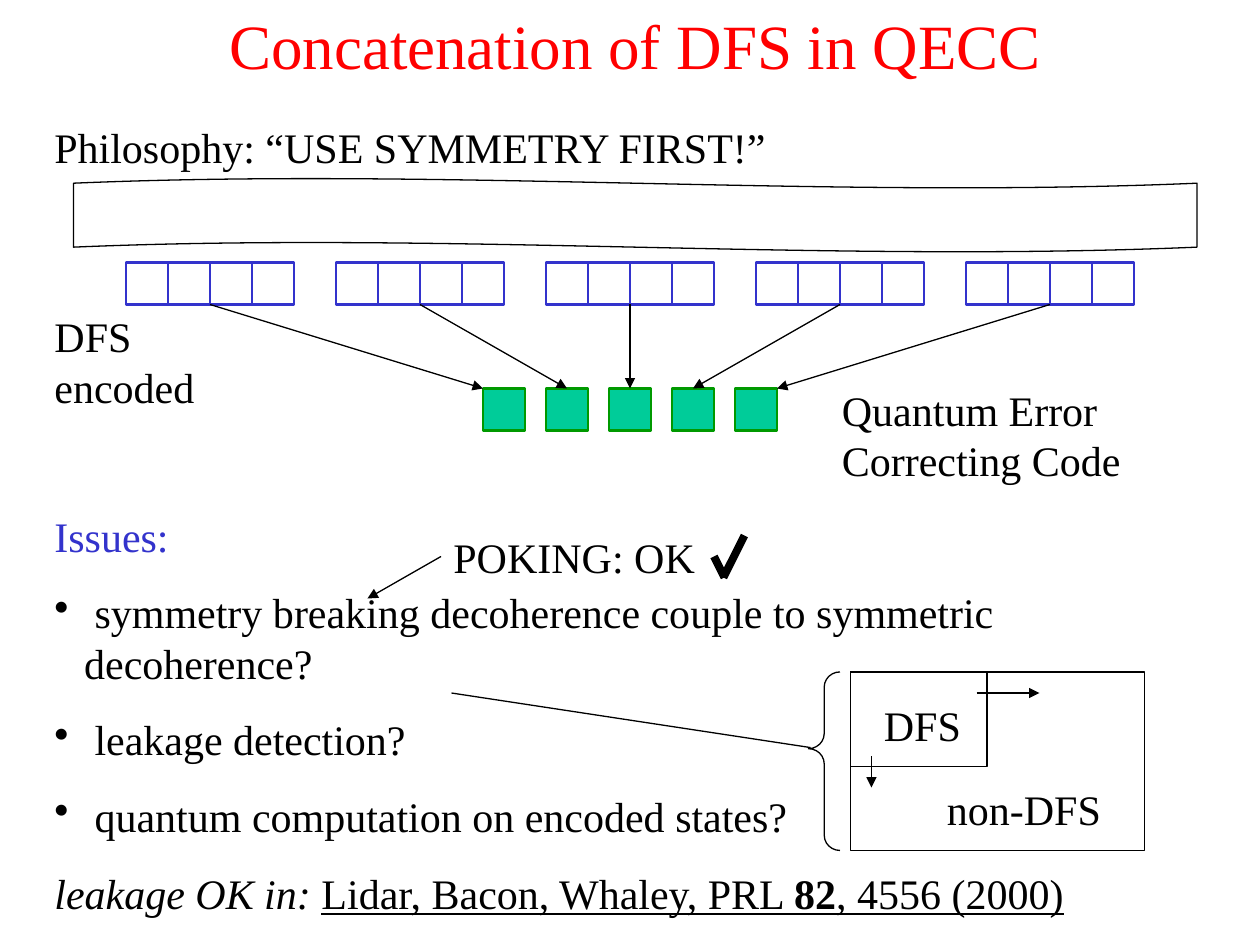
"""Build the slide on concatenating decoherence-free subspaces with error correction."""
from dataclasses import dataclass
from typing import Optional

from lxml import etree
from pptx import Presentation
from pptx import util as u
from pptx.dml.color import RGBColor
from pptx.enum import shapes, text
from pptx.oxml import ns


@dataclass(frozen=True)
class Theme:
    font: str = "Times New Roman"
    title_size: float = 36
    body_size: float = 24
    paragraph_gap: float = 15
    thin: float = 0.75
    medium: float = 1.5
    thick: float = 4.5
    black: str = "000000"
    red: str = "FF0000"
    blue: str = "3333CC"
    green: str = "00CC99"
    green_edge: str = "009900"


@dataclass(frozen=True)
class Run:
    text: str
    italic: bool = False
    bold: bool = False
    underline: bool = False


@dataclass(frozen=True)
class Line:
    runs: tuple[Run, ...]
    color: str = "000000"
    bullet: bool = False


@dataclass(frozen=True)
class Label:
    left: float
    top: float
    width: float
    height: float
    lines: tuple[Line, ...]


@dataclass(frozen=True)
class Stroke:
    start: tuple[float, float]
    end: tuple[float, float]
    width: float = 0.75
    arrow: bool = False


THEME = Theme()
CELL = 4
BLOCK_SIZE = 4
BLOCK_TOP = 25
BLOCK_LEFTS = tuple(12 + 20 * index for index in range(5))
CODE_TOP = 37
CODE_LEFTS = tuple(46 + 6 * index for index in range(5))
CODE_TARGETS = (46, 54, 60, 66, 74)


def grid(steps: float) -> u.Length:
    """Convert grid steps, twelve to 2.54 cm, to a length."""
    return u.Cm(steps * 2.54 / 12)


def plain(content: str, color: str = THEME.black, bullet: bool = False) -> Line:
    """Make a paragraph of one unstyled run."""
    return Line((Run(content),), color, bullet)


def set_font(paragraph, size: float, color: str) -> None:
    """Give a paragraph the theme font."""
    paragraph.font.name = THEME.font
    paragraph.font.size = u.Pt(size)
    paragraph.font.color.rgb = RGBColor.from_string(color)


def add_bullet(paragraph) -> None:
    """Hang a round bullet in front of a paragraph."""
    properties = paragraph._p.get_or_add_pPr()
    indent = u.Cm(0.6)
    properties.set("marL", str(indent))
    properties.set("indent", str(-indent))
    etree.SubElement(properties, ns.qn("a:buChar")).set("char", "•")


def add_label(slide, label: Label) -> None:
    """Draw a wrapped text box."""
    box = slide.shapes.add_textbox(
        grid(label.left), grid(label.top), grid(label.width), grid(label.height))
    frame = box.text_frame
    frame.word_wrap = True
    for index, line in enumerate(label.lines):
        paragraph = frame.add_paragraph() if index else frame.paragraphs[0]
        if index:
            paragraph.space_before = u.Pt(THEME.paragraph_gap)
        if line.bullet:
            add_bullet(paragraph)
        set_font(paragraph, THEME.body_size, line.color)
        for part in line.runs:
            run = paragraph.add_run()
            run.text = part.text
            if part.italic:
                run.font.italic = True
            if part.bold:
                run.font.bold = True
            if part.underline:
                run.font.underline = True


def add_outline(slide, kind: shapes.MSO_SHAPE, left: float, top: float, width: float,
                height: float, color: str = THEME.black, weight: float = THEME.thin,
                fill: Optional[str] = None, adjustments: tuple[float, ...] = ()) -> None:
    """Draw an outlined preset shape, filled only when a colour is given."""
    shape = slide.shapes.add_shape(kind, grid(left), grid(top), grid(width), grid(height))
    shape.shadow.inherit = False
    if fill:
        shape.fill.solid()
        shape.fill.fore_color.rgb = RGBColor.from_string(fill)
    else:
        shape.fill.background()
    shape.line.color.rgb = RGBColor.from_string(color)
    shape.line.width = u.Pt(weight)
    for index, value in enumerate(adjustments):
        shape.adjustments[index] = value


def add_stroke(slide, stroke: Stroke) -> None:
    """Draw a straight line, with an arrowhead at its end if asked."""
    connector = slide.shapes.add_connector(
        shapes.MSO_CONNECTOR.STRAIGHT, *map(grid, stroke.start + stroke.end))
    connector.line.color.rgb = RGBColor.from_string(THEME.black)
    connector.line.width = u.Pt(stroke.width)
    if stroke.arrow:
        line = connector.line._get_or_add_ln()
        etree.SubElement(line, ns.qn("a:tailEnd")).set("type", "triangle")
    etree.SubElement(connector._element.spPr, ns.qn("a:effectLst"))


def add_title(slide, content: str) -> None:
    """Place and format the title placeholder."""
    title = slide.shapes.title
    title.left, title.top, title.width, title.height = map(grid, (0, 0, 121, 8.4))
    frame = title.text_frame
    frame.text = content
    frame.vertical_anchor = text.MSO_ANCHOR.TOP
    frame.auto_size = text.MSO_AUTO_SIZE.NONE
    paragraph = frame.paragraphs[0]
    paragraph.alignment = text.PP_ALIGN.CENTER
    set_font(paragraph, THEME.title_size, THEME.red)


def add_encoding(slide) -> None:
    """Draw the wave, the encoded blocks and the code cells they feed."""
    rectangle = shapes.MSO_SHAPE.RECTANGLE
    add_outline(slide, shapes.MSO_SHAPE.WAVE, 7, 17, 107, 7, adjustments=(0.065,))
    for block_left in BLOCK_LEFTS:
        for index in range(BLOCK_SIZE):
            add_outline(slide, rectangle, block_left + index * CELL, BLOCK_TOP,
                        CELL, CELL, THEME.blue, THEME.medium)
    for left in CODE_LEFTS:
        add_outline(slide, rectangle, left, CODE_TOP, CELL, CELL,
                    THEME.green_edge, THEME.medium, THEME.green)
    for block_left, target in zip(BLOCK_LEFTS, CODE_TARGETS):
        middle = block_left + BLOCK_SIZE * CELL / 2
        add_stroke(slide, Stroke((middle, BLOCK_TOP + CELL), (target, CODE_TOP), arrow=True))


def add_leakage(slide) -> None:
    """Draw the nested state spaces and their brace."""
    for width, height in ((28, 17), (13, 9)):
        add_outline(slide, shapes.MSO_SHAPE.RECTANGLE, 81, 64, width, height)
    add_outline(slide, shapes.MSO_SHAPE.LEFT_BRACE, 77, 64, 3, 17, adjustments=(0.48, 0.43))


LABELS = (
    Label(4, 11, 72, 6, (plain("Philosophy: “USE SYMMETRY FIRST!”"),)),
    Label(4, 29, 21, 10.8, (plain("DFS encoded"),)),
    Label(79, 36, 41, 10.8, (plain("Quantum Error Correcting Code"),)),
    Label(4, 48, 114, 28, (
        plain("Issues:", THEME.blue),
        plain(" symmetry breaking decoherence couple to symmetric decoherence?", bullet=True),
        plain(" leakage detection?", bullet=True),
        plain(" quantum computation on encoded states?", bullet=True))),
    Label(4, 82, 110, 6, (Line((
        Run("leakage OK in: ", italic=True),
        Run("Lidar, Bacon, Whaley, PRL ", underline=True),
        Run("82", bold=True, underline=True),
        Run(", 4556 (2000)", underline=True))),)),
    Label(42, 50, 46, 6, (plain("POKING: OK"),)),
    Label(83, 66, 10, 6, (plain("DFS"),)),
    Label(89, 74, 20, 6, (plain("non-DFS"),)),
)
STROKES = (
    Stroke((42, 53), (35, 57), arrow=True),
    Stroke((68, 53), (69, 55), THEME.thick),
    Stroke((68.9, 55), (70.9, 51), THEME.thick),
    Stroke((83, 72), (83, 75), arrow=True),
    Stroke((93, 66), (99, 66), arrow=True),
    Stroke((43, 66), (77.2, 71.2)),
)


def main() -> None:
    """Assemble and save the presentation."""
    presentation = Presentation()
    presentation.slide_width, presentation.slide_height = u.Cm(25.4), u.Cm(19.05)
    slide = presentation.slides.add_slide(presentation.slide_layouts[5])
    add_title(slide, "Concatenation of DFS in QECC")
    add_encoding(slide)
    add_leakage(slide)
    for label in LABELS:
        add_label(slide, label)
    for stroke in STROKES:
        add_stroke(slide, stroke)
    presentation.save("out.pptx")


if __name__ == "__main__":
    main()
